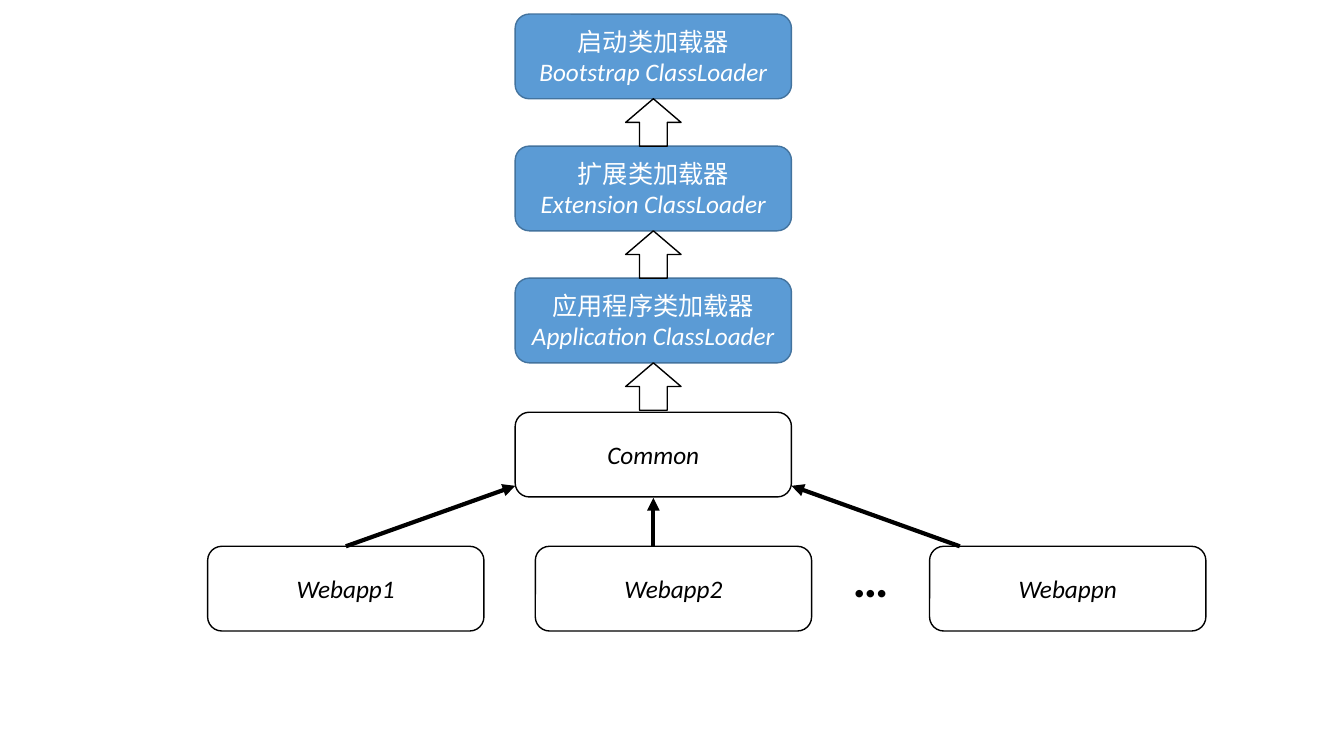
"""Build a slide of the class loader hierarchy with its web applications."""
from dataclasses import dataclass

from lxml.etree import SubElement
from pptx import Presentation
from pptx.dml.color import RGBColor as RGB
from pptx.enum.shapes import MSO_CONNECTOR as Connector, MSO_SHAPE as Shape
from pptx.enum.text import MSO_ANCHOR as Anchor, PP_ALIGN as Align
from pptx.oxml.ns import qn
from pptx.util import Inches, Pt


@dataclass(frozen=True)
class Theme:
    blue: RGB = RGB(0x5B, 0x9B, 0xD5)
    blue_edge: RGB = RGB(0x43, 0x73, 0x9E)
    white: RGB = RGB(255, 255, 255)
    black: RGB = RGB(0, 0, 0)
    font: str = "Calibri"
    label_size: int = 18
    dots_size: int = 36
    edge_width: int = 1
    link_width: int = 3


theme = Theme()
deck = Presentation()
deck.slide_width, deck.slide_height = Inches(13.33), Inches(7.5)
page = deck.slides.add_slide(deck.slide_layouts[6])


def add_block(kind, left, top, width, height, fill, edge):
    block = page.shapes.add_shape(
        kind, Inches(left), Inches(top), Inches(width), Inches(height))
    block.shadow.inherit = False
    block.fill.solid()
    block.fill.fore_color.rgb = fill
    if edge is None:
        block.line.fill.background()
    else:
        block.line.color.rgb = edge
        block.line.width = Pt(theme.edge_width)
    return block


def write_label(block, text, color, size=theme.label_size, bold=False):
    frame = block.text_frame
    frame.text = text
    frame.word_wrap = True
    frame.vertical_anchor = Anchor.MIDDLE
    for para in frame.paragraphs:
        para.alignment = Align.CENTER
        for span in para.runs:
            span.font.name = theme.font
            span.font.size = Pt(size)
            span.font.color.rgb = color
            span.font.bold = bold
            span.font.italic = span.text.isascii()


box_width, box_height = 2.74, 0.84
stack_left, stack_top, stack_step = 5.11, 0.14, 1.31
arrow_width, arrow_height = 0.55, 0.47
center = stack_left + box_width / 2
common_top, webapp_top = 4.09, 5.42

dots = add_block(Shape.RECTANGLE, 8.05, 5.31, 1.17, box_height, theme.white, None)
write_label(dots, "…", theme.black, theme.dots_size, bold=True)

loaders = [
    "启动类加载器\nBootstrap ClassLoader",
    "扩展类加载器\nExtension ClassLoader",
    "应用程序类加载器\nApplication ClassLoader",
]
for row, name in enumerate(loaders):
    top = stack_top + row * stack_step
    loader = add_block(Shape.ROUNDED_RECTANGLE, stack_left, top,
                       box_width, box_height, theme.blue, theme.blue_edge)
    write_label(loader, name, theme.white)

plain_boxes = [
    ("Common", stack_left, common_top),
    ("Webapp1", 2.06, webapp_top),
    ("Webapp2", 5.31, webapp_top),
    ("Webappn", 9.22, webapp_top),
]
for name, left, top in plain_boxes:
    box = add_block(Shape.ROUNDED_RECTANGLE, left, top,
                    box_width, box_height, theme.white, theme.black)
    write_label(box, name, theme.black)

for row in range(len(loaders)):
    add_block(Shape.UP_ARROW, center - arrow_width / 2,
              stack_top + row * stack_step + box_height,
              arrow_width, arrow_height, theme.white, theme.black)

links = [
    (3.43, stack_left, 4.82),
    (center, center, 4.94),
    (9.52, stack_left + box_width, 4.82),
]
for start_x, end_x, end_y in links:
    link = page.shapes.add_connector(
        Connector.STRAIGHT, Inches(start_x), Inches(webapp_top),
        Inches(end_x), Inches(end_y))
    link.line.color.rgb = theme.black
    link.line.width = Pt(theme.link_width)
    SubElement(link.line._get_or_add_ln(), qn("a:tailEnd"), type="triangle")
    SubElement(link._element.spPr, qn("a:effectLst"))

deck.save("out.pptx")
